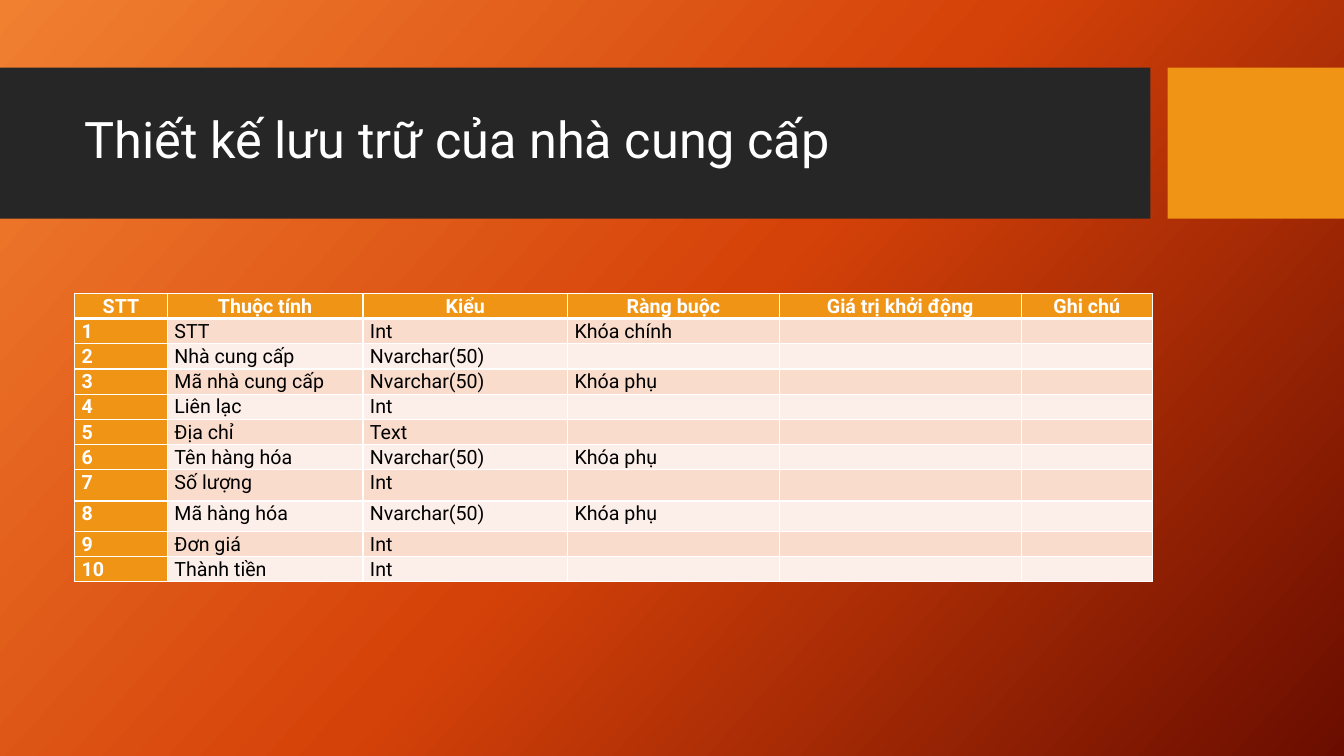
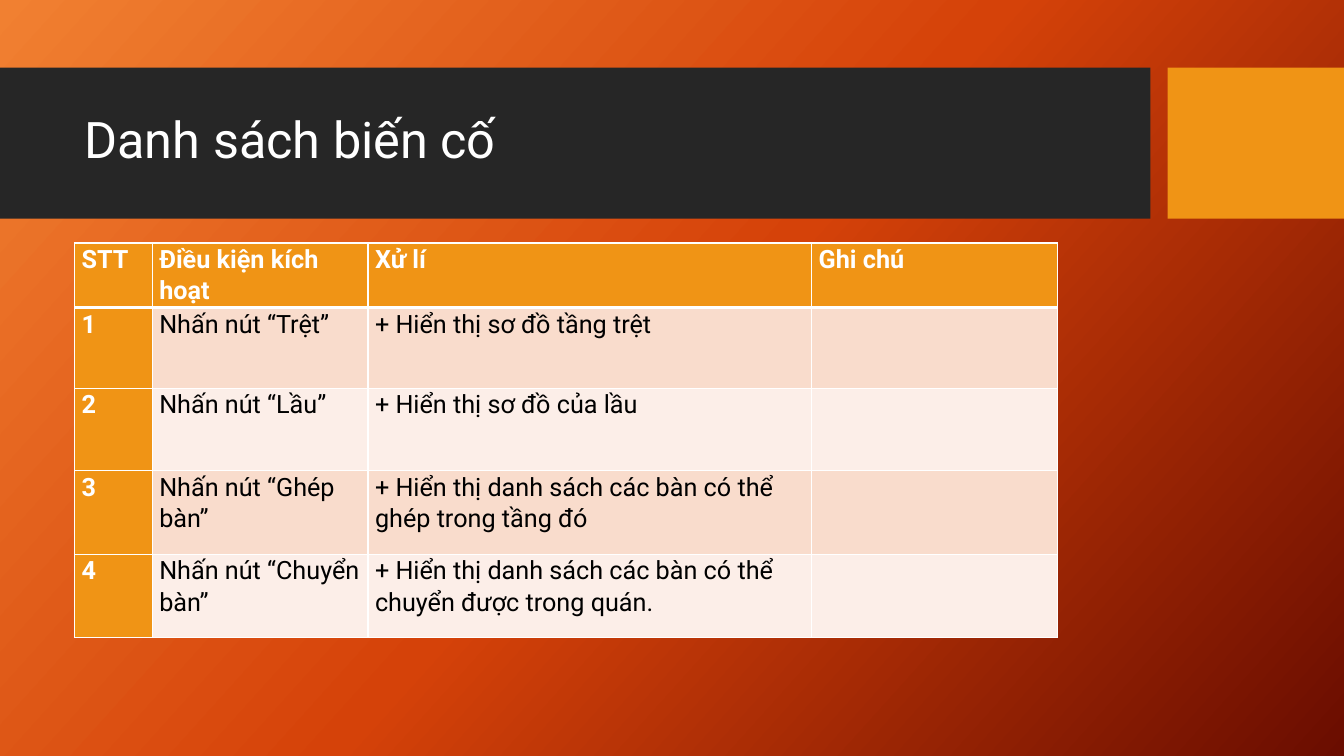
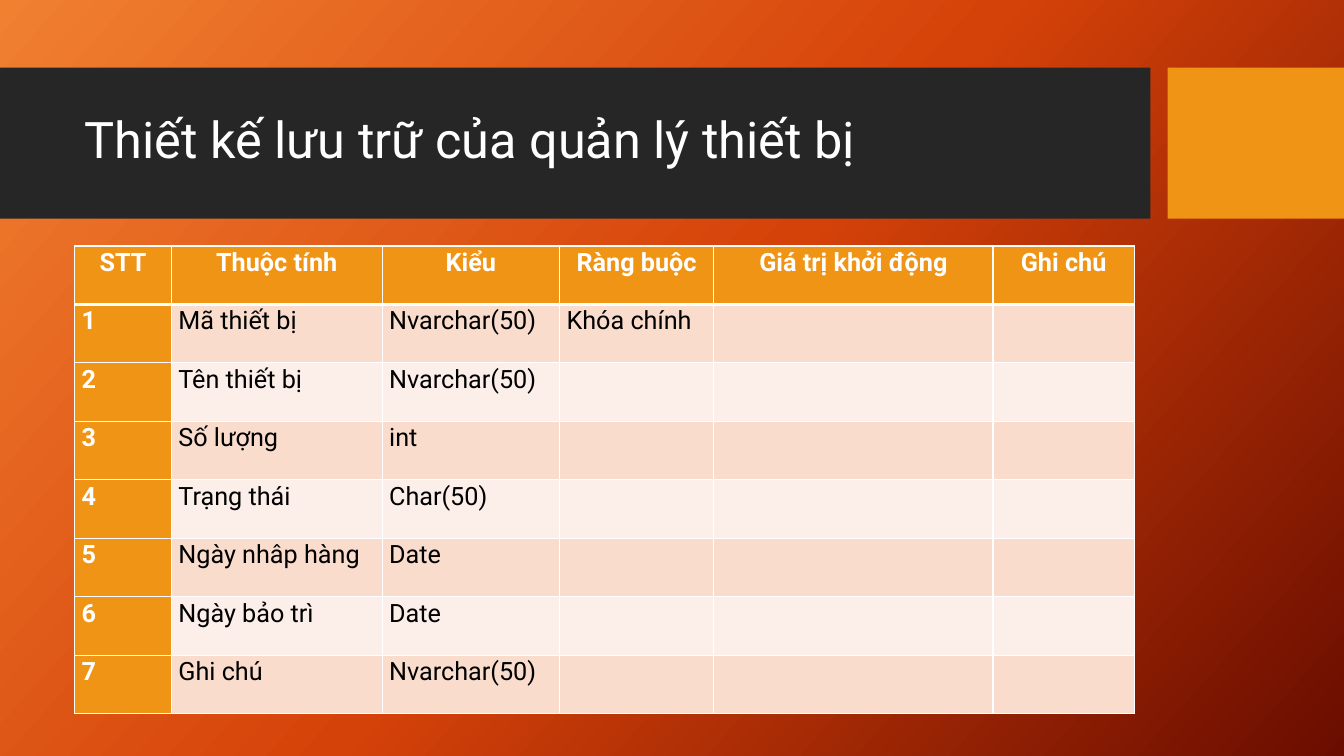
from dataclasses import dataclass

from lxml import etree
from pptx import Presentation
from pptx.dml.color import RGBColor
from pptx.enum.shapes import MSO_SHAPE
from pptx.enum.text import MSO_ANCHOR, PP_ALIGN
from pptx.oxml.ns import qn
from pptx.util import Inches, Pt

RECTANGLE = MSO_SHAPE.RECTANGLE
MIDDLE = MSO_ANCHOR.MIDDLE
LEFT, CENTER = PP_ALIGN.LEFT, PP_ALIGN.CENTER

FONT = "Roboto"
COLORS = {
    "glow": "F18031",
    "ember": "D54209",
    "shade": "6A0D00",
    "band": "262626",
    "accent": "F09415",
    "odd_row": "F9DCCC",
    "even_row": "FCEEE8",
    "white": "FFFFFF",
    "black": "000000",
}
GRADIENT = ((0, "glow"), (50, "ember"), (100, "shade"))
GRADIENT_ANGLE = 42
MARGIN_LEFT = 0.74
THIN, THICK = 1, 3
STORAGE_HEADER = ("STT", "Thuộc tính", "Kiểu", "Ràng buộc", "Giá trị khởi động", "Ghi chú")


@dataclass(frozen=True)
class Band:
    left: float
    width: float
    color: str


@dataclass(frozen=True)
class TableSlide:
    title: str
    top: float
    size: int
    header: tuple
    entries: tuple  # row numbers and trailing blanks are added when drawn
    widths: tuple
    heights: tuple
    header_align: int = CENTER


BANDS = (Band(0, 11.41, "band"), Band(11.58, 1.75, "accent"))

SLIDES = (
    TableSlide(
        title="Thiết kế lưu trữ của nhà cung cấp",
        top=2.91,
        size=14,
        header=STORAGE_HEADER,
        entries=(
            ("STT", "Int", "Khóa chính"),
            ("Nhà cung cấp", "Nvarchar(50)"),
            ("Mã nhà cung cấp", "Nvarchar(50)", "Khóa phụ"),
            ("Liên lạc", "Int"),
            ("Địa chỉ", "Text"),
            ("Tên hàng hóa", "Nvarchar(50)", "Khóa phụ"),
            ("Số lượng", "Int"),
            ("Mã hàng hóa", "Nvarchar(50)", "Khóa phụ"),
            ("Đơn giá", "Int"),
            ("Thành tiền", "Int"),
        ),
        widths=(0.92, 1.94, 2.03, 2.1, 2.4, 1.3),
        heights=(0.24,) * 7 + (0.31, 0.3, 0.24, 0.25),
    ),
    TableSlide(
        title="Danh sách biến cố",
        top=2.41,
        size=18,
        header=("STT", "Điều kiện kích hoạt", "Xử lí", "Ghi chú"),
        entries=(
            ("Nhấn nút “Trệt”", "+ Hiển thị sơ đồ tầng trệt"),
            ("Nhấn nút “Lầu”", "+ Hiển thị sơ đồ của lầu"),
            ("Nhấn nút “Ghép bàn”", "+ Hiển thị danh sách các bàn có thể ghép trong tầng đó"),
            ("Nhấn nút “Chuyển bàn”", "+ Hiển thị danh sách các bàn có thể chuyển được trong quán."),
        ),
        widths=(0.77, 2.14, 4.4, 2.44),
        heights=(0.63, 0.8, 0.82, 0.83, 0.82),
        header_align=LEFT,
    ),
    TableSlide(
        title="Thiết kế lưu trữ của quản lý thiết bị",
        top=2.44,
        size=18,
        header=STORAGE_HEADER,
        entries=(
            ("Mã thiết bị", "Nvarchar(50)", "Khóa chính"),
            ("Tên thiết bị", "Nvarchar(50)"),
            ("Số lượng", "int"),
            ("Trạng thái", "Char(50)"),
            ("Ngày nhâp hàng", "Date"),
            ("Ngày bảo trì", "Date"),
            ("Ghi chú", "Nvarchar(50)"),
        ),
        widths=(0.96, 2.09, 1.76, 1.53, 2.77, 1.4),
        heights=(0.58,) * 8,
    ),
)


def rgb(color: str) -> RGBColor:
    return RGBColor.from_string(COLORS[color])


def set_font(paragraph, size: int, color: str, bold: bool = False) -> None:
    font = paragraph.font
    font.name, font.size, font.bold = FONT, Pt(size), bold
    font.color.rgb = rgb(color)


def set_background(master) -> None:
    fill = master.background.fill
    fill.gradient()
    fill.gradient_angle = 360 - GRADIENT_ANGLE  # counted counter-clockwise
    stops = next(master.element.iter(qn("a:gsLst")))
    for stop in list(stops):
        stops.remove(stop)
    for percent, color in GRADIENT:
        stop = etree.SubElement(stops, qn("a:gs"), pos=str(percent * 1000))
        etree.SubElement(stop, qn("a:srgbClr"), val=COLORS[color])


def add_heading(slide, title: str) -> None:
    for band in BANDS:
        bar = slide.shapes.add_shape(
            RECTANGLE, Inches(band.left), Inches(0.67), Inches(band.width), Inches(1.5))
        bar.shadow.inherit = False
        bar.fill.solid()
        bar.fill.fore_color.rgb = rgb(band.color)
        bar.line.fill.background()

    heading = slide.shapes.add_textbox(
        Inches(MARGIN_LEFT), Inches(0.82), Inches(10.51), Inches(1.18)).text_frame
    heading.word_wrap = True
    heading.vertical_anchor = MIDDLE
    paragraph = heading.paragraphs[0]
    paragraph.text = title
    paragraph.line_spacing = 0.9
    set_font(paragraph, 36, "white")


def set_borders(cell, top: int, bottom: int) -> None:
    properties = cell._tc.get_or_add_tcPr()
    edges = (("a:lnL", THIN), ("a:lnR", THIN), ("a:lnT", top), ("a:lnB", bottom))
    for position, (tag, width) in enumerate(edges):
        edge = etree.Element(qn(tag), w=str(Pt(width)))
        solid = etree.SubElement(edge, qn("a:solidFill"))
        etree.SubElement(solid, qn("a:srgbClr"), val=COLORS["white"])
        properties.insert(position, edge)


def fill_cell(cell, text: str, row: int, column: int, content: TableSlide) -> None:
    is_label = row == 0 or column == 0
    cell.margin_left = cell.margin_right = Inches(0.07)
    cell.margin_top = cell.margin_bottom = 0
    cell.fill.solid()
    cell.fill.fore_color.rgb = rgb("accent" if is_label else "odd_row" if row % 2 else "even_row")
    set_borders(cell, THICK if row == 1 else THIN, THICK if row == 0 else THIN)

    paragraph = cell.text_frame.paragraphs[0]
    paragraph.alignment = content.header_align if row == 0 else LEFT
    paragraph.line_spacing = 1.07
    paragraph.space_after = Pt(8)
    if text:
        paragraph.text = text
    else:
        # Keeps a blank cell from stretching its row
        etree.SubElement(paragraph._p, qn("a:endParaRPr"), sz=str(content.size * 100))
    set_font(paragraph, content.size, "white" if is_label else "black", is_label)


def add_content_table(slide, content: TableSlide) -> None:
    rows = [content.header]
    for number, entry in enumerate(content.entries, start=1):
        blanks = ("",) * (len(content.header) - 1 - len(entry))
        rows.append((str(number), *entry, *blanks))

    table = slide.shapes.add_table(
        len(rows), len(content.header), Inches(MARGIN_LEFT), Inches(content.top),
        Inches(sum(content.widths)), Inches(sum(content.heights))).table
    table.first_col = True
    table.horz_banding = False
    for column, width in zip(table.columns, content.widths):
        column.width = Inches(width)
    for row, height in zip(table.rows, content.heights):
        row.height = Inches(height)
    for r, texts in enumerate(rows):
        for c, text in enumerate(texts):
            fill_cell(table.cell(r, c), text, r, c, content)


def main() -> None:
    prs = Presentation()
    prs.slide_width, prs.slide_height = Inches(13.33), Inches(7.5)
    set_background(prs.slide_master)
    blank_layout = prs.slide_layouts[6]
    for content in SLIDES:
        slide = prs.slides.add_slide(blank_layout)
        add_heading(slide, content.title)
        add_content_table(slide, content)
    prs.save("out.pptx")


if __name__ == "__main__":
    main()
